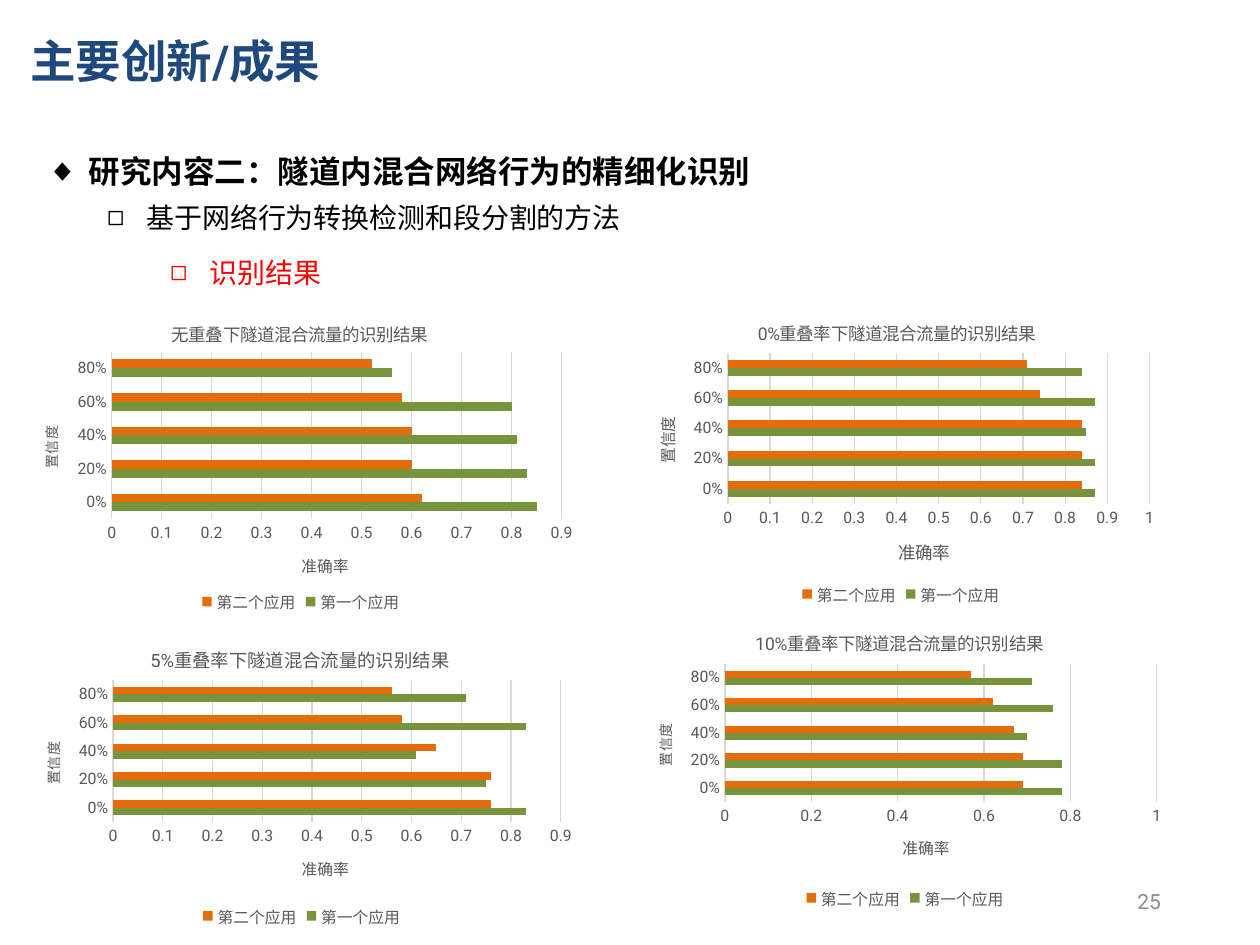
from pptx import Presentation
from pptx.chart.data import CategoryChartData
from pptx.dml.color import RGBColor
from pptx.enum.chart import XL_CHART_TYPE, XL_LEGEND_POSITION, XL_TICK_MARK
from pptx.enum.text import MSO_ANCHOR, MSO_AUTO_SIZE, PP_ALIGN
from pptx.oxml import parse_xml
from pptx.oxml.ns import nsdecls, qn
from pptx.util import Pt

NAVY = RGBColor(0x1F, 0x49, 0x7D)
BLACK = RGBColor(0, 0, 0)
RED = RGBColor(0xFF, 0, 0)
GRAY = RGBColor(0x59, 0x59, 0x59)
PAGE_GRAY = RGBColor(0x8C, 0x8C, 0x8C)
GRID_GRAY = RGBColor(0xD9, 0xD9, 0xD9)
GREEN = RGBColor(0x77, 0x93, 0x3C)
ORANGE = RGBColor(0xE4, 0x6C, 0x0A)


def style(font, size, color, name="Roboto", bold=False):
    font.size = Pt(size)
    font.name = name
    font.bold = bold
    font.color.rgb = color


def place(element, index, **fractions):
    """Fix a chart part at fractions of the chart area."""
    for old in element.findall(qn("c:layout")):
        element.remove(old)
    target = '<c:layoutTarget val="inner"/>' if "w" in fractions else ""
    modes = "".join(f'<c:{key}Mode val="edge"/>' for key in "xy")
    values = "".join(f'<c:{key} val="{value}"/>' for key, value in fractions.items())
    element.insert(index, parse_xml(
        f'<c:layout {nsdecls("c")}><c:manualLayout>{target}{modes}{values}'
        '</c:manualLayout></c:layout>'))


prs = Presentation()
prs.slide_width, prs.slide_height = Pt(720), Pt(540)
slide = prs.slides.add_slide(prs.slide_layouts[3])
heading, topic, outline = slide.placeholders

# Title, topic and outline placeholders
for holder, box in ((heading, (10, 11.5, 549.5, 46)),
                    (topic, (19.5, 77, 664, 34.5)),
                    (outline, (54, 111, 556, 58.5))):
    holder.left, holder.top, holder.width, holder.height = map(Pt, box)
    holder.text_frame.auto_size = MSO_AUTO_SIZE.NONE
    holder.text_frame.word_wrap = True

heading.text_frame.text = "主要创新/成果"
heading.text_frame.vertical_anchor = MSO_ANCHOR.MIDDLE
heading_line = heading.text_frame.paragraphs[0]
heading_line.alignment = PP_ALIGN.LEFT
style(heading_line.font, 26, NAVY, bold=True)

topic.text_frame.text = " 研究内容二：隧道内混合网络行为的精细化识别"
outline.text_frame.text = "基于网络行为转换检测和段分割的方法\n识别结果"
topic_line = topic.text_frame.paragraphs[0]
method_line, result_line = outline.text_frame.paragraphs
result_line.level = 1
topic_line.line_spacing = 1.3
method_line.space_after = result_line.space_after = Pt(12)

# Bulleted lines: bullet, left margin, hanging indent, then font
for line, bullet, margin, hanging, font in (
        (topic_line, "◆", 20, 20, (18, BLACK, "Times New Roman", True)),
        (method_line, "◻", 22.5, 22.5, (16, BLACK, "Noto Sans CJK SC")),
        (result_line, "◻", 58.5, 22.5, (16, RED, "Noto Sans CJK SC"))):
    line.space_before = Pt(0)
    properties = line._p.get_or_add_pPr()
    properties.set("marL", str(Pt(margin)))
    properties.set("indent", str(-Pt(hanging)))
    properties.append(parse_xml(f'<a:buChar {nsdecls("a")} char="{bullet}"/>'))
    style(line.font, *font)

# Page number
page = slide.shapes.add_textbox(Pt(508.5), Pt(500.5), Pt(162), Pt(28.5)).text_frame
page.word_wrap = True
page.vertical_anchor = MSO_ANCHOR.MIDDLE
page.text = "25"
page.paragraphs[0].alignment = PP_ALIGN.RIGHT
style(page.paragraphs[0].font, 12, PAGE_GRAY)

# Charts: title, title size, box, axis maximum and step, axis title sizes,
# first and second application, plot area, title corner, legend corner
results = (
    ("0%重叠率下隧道混合流量的识别结果", 10, (358, 169, 305, 192), 1, 0.1, 9, 10,
     (0.87, 0.87, 0.85, 0.87, 0.84), (0.84, 0.84, 0.84, 0.74, 0.71),
     (0.19, 0.17, 0.79, 0.45), (0.24, 0.06), (0.32, 0.84)),
    ("5%重叠率下隧道混合流量的识别结果", 10.5, (9.5, 355.5, 324, 184.5), 0.9, 0.1, 8, 9,
     (0.83, 0.75, 0.61, 0.83, 0.71), (0.76, 0.76, 0.65, 0.58, 0.56),
     (0.17, 0.18, 0.79, 0.44), (0.23, 0.06), (0.32, 0.86)),
    ("无重叠下隧道混合流量的识别结果", 10, (8.5, 169, 325.5, 199.5), 0.9, 0.1, 8, 9,
     (0.85, 0.83, 0.81, 0.8, 0.56), (0.62, 0.6, 0.6, 0.58, 0.52),
     (0.17, 0.16, 0.79, 0.48), (0.27, 0.06), (0.32, 0.83)),
    ("10%重叠率下隧道混合流量的识别结果", 10, (358, 346.5, 312.5, 183), 1, 0.2, 8, 9,
     (0.78, 0.78, 0.7, 0.76, 0.71), (0.69, 0.69, 0.67, 0.62, 0.57),
     (0.18, 0.18, 0.79, 0.43), (0.23, 0.06), (0.32, 0.86)),
)
for (title, title_size, box, maximum, step, confidence_size, accuracy_size,
     first_app, second_app, plot_area, title_at, legend_at) in results:
    data = CategoryChartData()
    data.categories = (0, 0.2, 0.4, 0.6, 0.8)
    data.categories.number_format = "0%"
    data.add_series("第一个应用", first_app)
    data.add_series("第二个应用", second_app)
    chart = slide.shapes.add_chart(
        XL_CHART_TYPE.BAR_CLUSTERED, *map(Pt, box), data).chart
    style(chart.font, 10, BLACK)

    # Bars
    bars = chart.plots[0]
    bars.gap_width = 182
    bars.vary_by_categories = False
    for series, color in zip(bars.series, (GREEN, ORANGE)):
        series.format.fill.solid()
        series.format.fill.fore_color.rgb = color

    # Axes
    confidence, accuracy = chart.category_axis, chart.value_axis
    for axis, name, size in ((confidence, "置信度", confidence_size),
                             (accuracy, "准确率", accuracy_size)):
        axis.major_tick_mark = axis.minor_tick_mark = XL_TICK_MARK.NONE
        style(axis.tick_labels.font, 9, GRAY)
        axis.axis_title.text_frame.text = name
        style(axis.axis_title.text_frame.paragraphs[0].font, size, GRAY)
    confidence.tick_labels.number_format = "0%"
    confidence.tick_labels.number_format_is_linked = False
    accuracy.minimum_scale, accuracy.maximum_scale = 0, maximum
    accuracy.major_unit = step
    accuracy.format.line.fill.background()
    accuracy.has_major_gridlines = True
    for line in (confidence.format.line, accuracy.major_gridlines.format.line):
        line.color.rgb = GRID_GRAY
        line.width = Pt(0.75)

    # Title, legend and placement
    chart.has_title = True
    chart.chart_title.text_frame.text = title
    style(chart.chart_title.text_frame.paragraphs[0].font, title_size, GRAY)
    chart.has_legend = True
    chart.legend.position = XL_LEGEND_POSITION.BOTTOM
    chart.legend.include_in_layout = False
    style(chart.legend.font, 9, GRAY)
    place(chart._chartSpace.xpath("c:chart/c:plotArea")[0], 0,
          **dict(zip("xywh", plot_area)))
    place(chart.chart_title._element, 1, **dict(zip("xy", title_at)))
    place(chart.legend._element, 1, **dict(zip("xy", legend_at)))

prs.save("out.pptx")
